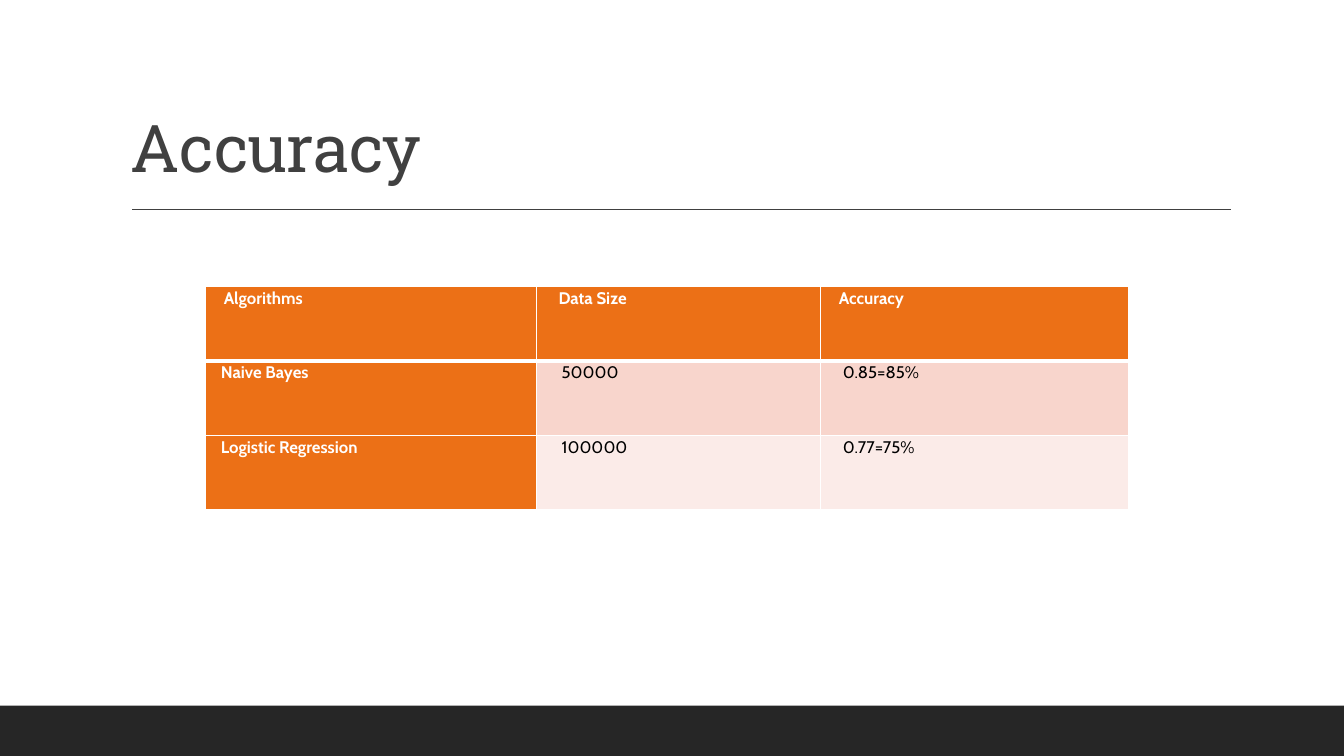
from dataclasses import dataclass

from lxml.etree import SubElement
from pptx import Presentation
from pptx.dml.color import RGBColor
from pptx.enum.shapes import MSO_CONNECTOR, MSO_SHAPE
from pptx.enum.text import MSO_ANCHOR
from pptx.oxml import parse_xml
from pptx.oxml.ns import nsdecls, qn
from pptx.util import Inches, Pt

TITLE = "Accuracy"
ROWS = [
    ("Algorithms", "Data Size", "Accuracy"),
    ("Naive Bayes", "50000", "0.85=85%"),
    ("Logistic Regression", "100000", "0.77=75%"),
]
HEADER_INDENTS = (0.18, 0.22, 0.18)
BODY_INDENTS = (0.15, 0.25, 0.22)
COLUMN_WIDTHS = (3.28, 2.82, 3.05)
ROW_HEIGHT = 0.74
TABLE_LEFT, TABLE_TOP = 2.04, 2.84
SLIDE_WIDTH, SLIDE_HEIGHT = 13.33, 7.5
FOOTER_HEIGHT = SLIDE_HEIGHT / 15


@dataclass(frozen=True)
class Theme:
    title_font: str = "Roboto Slab"
    body_font: str = "Cabin"
    title_size: float = 47
    body_size: float = 12
    ink: str = "404040"
    footer: str = "262626"
    accent: str = "EC7016"
    bands: tuple = ("F8D5CC", "FBEBE8")
    white: str = "FFFFFF"
    black: str = "000000"


THEME = Theme()


def color(value):
    return RGBColor.from_string(value)


def add_text(paragraph, text, font, size, ink, bold=False):
    run = paragraph.add_run()
    run.text = text
    run.font.name = font
    run.font.size = Pt(size)
    run.font.bold = bold
    run.font.color.rgb = color(ink)
    return run


def add_footer(slide):
    footer = slide.shapes.add_shape(
        MSO_SHAPE.RECTANGLE, 0, Inches(SLIDE_HEIGHT - FOOTER_HEIGHT),
        Inches(SLIDE_WIDTH), Inches(FOOTER_HEIGHT))
    footer.shadow.inherit = False
    footer.fill.solid()
    footer.fill.fore_color.rgb = color(THEME.footer)
    footer.line.fill.background()


def add_title(slide):
    rule = slide.shapes.add_connector(
        MSO_CONNECTOR.STRAIGHT, Inches(1.31), Inches(2.08), Inches(12.21), Inches(2.08))
    rule.line.color.rgb = color(THEME.ink)
    rule.line.width = Pt(1)
    SubElement(rule._element.spPr, qn("a:effectLst"))

    title = slide.shapes.add_textbox(Inches(1.2), Inches(0.31), Inches(11), Inches(1.59))
    frame = title.text_frame
    frame.word_wrap = True
    frame.vertical_anchor = MSO_ANCHOR.BOTTOM
    paragraph = frame.paragraphs[0]
    paragraph.line_spacing = 0.9
    run = add_text(paragraph, TITLE, THEME.title_font, THEME.title_size, THEME.ink)
    run.font._element.set("spc", "-50")


def set_borders(cell, top, bottom):
    widths = {"lnL": 1, "lnR": 1, "lnT": top, "lnB": bottom}
    properties = cell._tc.get_or_add_tcPr()
    for position, (side, width) in enumerate(widths.items()):
        properties.insert(position, parse_xml(
            f'<a:{side} {nsdecls("a")} w="{Pt(width)}"><a:solidFill>'
            f'<a:srgbClr val="{THEME.white}"/></a:solidFill></a:{side}>'))


def fill_cell(cell, text, row, column):
    is_label = row == 0 or column == 0
    cell.fill.solid()
    cell.fill.fore_color.rgb = color(THEME.accent if is_label else THEME.bands[row - 1])
    cell.margin_left = Inches((BODY_INDENTS if row else HEADER_INDENTS)[column])
    cell.margin_right = Inches(0.07)
    cell.margin_top = cell.margin_bottom = 0
    paragraph = cell.text_frame.paragraphs[0]
    paragraph.line_spacing = 1.07
    paragraph.space_after = Pt(8)
    add_text(paragraph, text, THEME.body_font, THEME.body_size,
             THEME.white if is_label else THEME.black, is_label)
    set_borders(cell, 3 if row == 1 else 1, 3 if row == 0 else 1)


def add_accuracy_table(slide):
    table = slide.shapes.add_table(
        len(ROWS), len(COLUMN_WIDTHS), Inches(TABLE_LEFT), Inches(TABLE_TOP),
        Inches(sum(COLUMN_WIDTHS)), Inches(ROW_HEIGHT * len(ROWS))).table
    for column, width in zip(table.columns, COLUMN_WIDTHS):
        column.width = Inches(width)
    for row, texts in enumerate(ROWS):
        table.rows[row].height = Inches(ROW_HEIGHT)
        for column, text in enumerate(texts):
            fill_cell(table.cell(row, column), text, row, column)


def main():
    presentation = Presentation()
    presentation.slide_width = Inches(SLIDE_WIDTH)
    presentation.slide_height = Inches(SLIDE_HEIGHT)
    slide = presentation.slides.add_slide(presentation.slide_layouts[6])
    add_footer(slide)
    add_title(slide)
    add_accuracy_table(slide)
    presentation.save("out.pptx")


if __name__ == "__main__":
    main()
